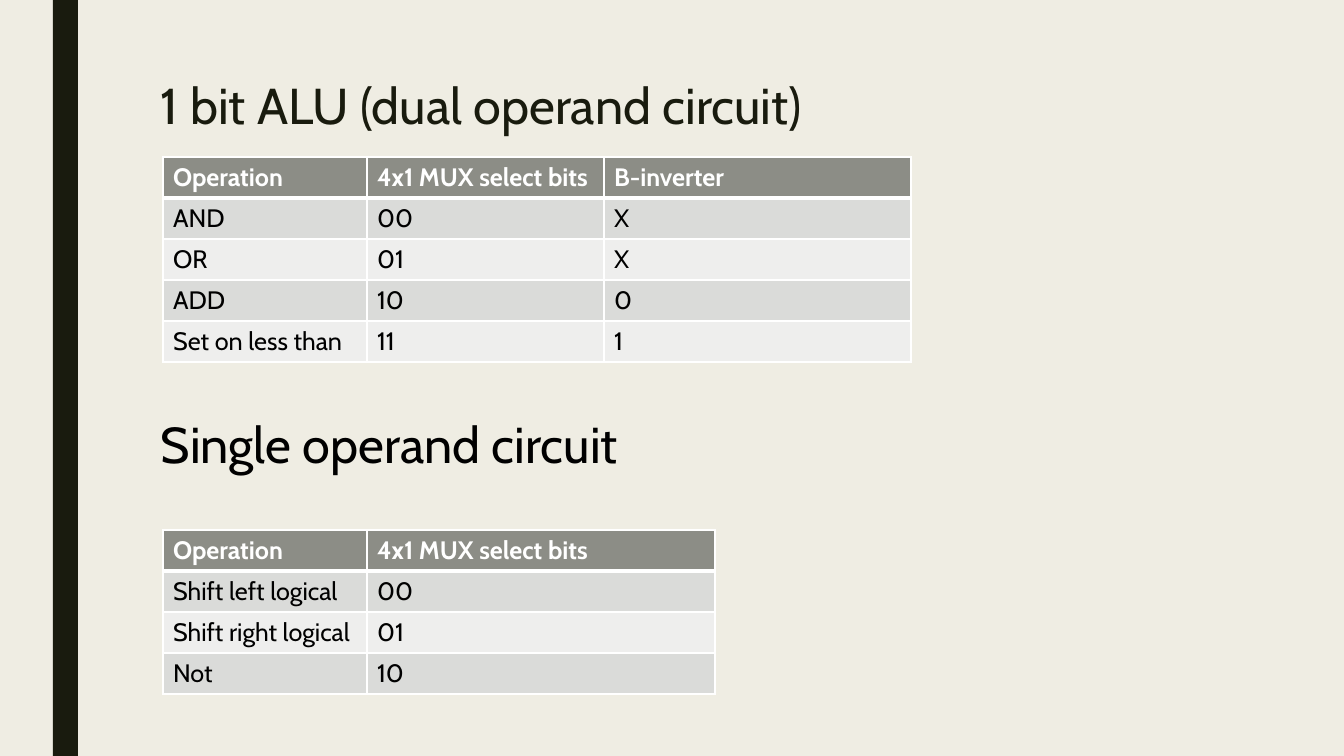
import pptx
import pptx.util
import pptx.dml.color
import pptx.enum.shapes
import pptx.enum.text
import pptx.oxml
import pptx.oxml.ns
from dataclasses import dataclass

WIDE, HIGH = 1344, 756
SCALE = 12192000 / WIDE


@dataclass(frozen=True)
class Theme:
    font: str = "Cabin"
    back: str = "EFEDE3"
    dark: str = "191B0E"
    black: str = "000000"
    white: str = "FFFFFF"
    head: str = "8C8D86"
    bands: tuple = ("DADBD9", "EEEEED")
    title: int = 36
    body: int = 18
    thin: int = 1
    thick: int = 3


THEME = Theme()

DUAL = [
    ("Operation", "4x1 MUX select bits", "B-inverter"),
    ("AND", "00", "X"),
    ("OR", "01", "X"),
    ("ADD", "10", "0"),
    ("Set on less than", "11", "1"),
]
SINGLE = [
    ("Operation", "4x1 MUX select bits"),
    ("Shift left logical", "00"),
    ("Shift right logical", "01"),
    ("Not", "10"),
]


def px(size):
    return pptx.util.Emu(round(size * SCALE))


def place(box):
    return [px(size) for size in box]


def paint(fill, color):
    fill.solid()
    fill.fore_color.rgb = pptx.dml.color.RGBColor.from_string(color)


def style(para, size, color, bold=False):
    font = para.font
    font.name = THEME.font
    font.size = pptx.util.Pt(size)
    font.bold = bold
    font.color.rgb = pptx.dml.color.RGBColor.from_string(color)


def edge(cell, side, width):
    """Append one cell border; call before the cell is filled."""
    space = pptx.oxml.ns.nsdecls("a")
    line = pptx.oxml.parse_xml(
        f'<a:ln{side} {space} w="{pptx.util.Pt(width)}"><a:solidFill>'
        f'<a:srgbClr val="{THEME.white}"/></a:solidFill></a:ln{side}>'
    )
    cell._tc.get_or_add_tcPr().append(line)


def add_bar(slide, box):
    bar = slide.shapes.add_shape(
        pptx.enum.shapes.MSO_SHAPE.RECTANGLE, *place(box))
    bar.shadow.inherit = False
    paint(bar.fill, THEME.dark)
    bar.line.fill.background()


def add_title(slide, box, text, color, wrap=True, space=1.0):
    frame = slide.shapes.add_textbox(*place(box)).text_frame
    frame.word_wrap = wrap
    frame.vertical_anchor = pptx.enum.text.MSO_ANCHOR.TOP
    para = frame.paragraphs[0]
    para.text = text
    para.line_spacing = space
    style(para, THEME.title, color)


def add_grid(slide, left, top, cols, step, rows):
    box = (left, top, sum(cols), step * len(rows))
    grid = slide.shapes.add_table(len(rows), len(cols), *place(box)).table
    for col, width in zip(grid.columns, cols):
        col.width = px(width)
    for r, row in enumerate(rows):
        grid.rows[r].height = px(step)
        first = r == 0
        for c, text in enumerate(row):
            cell = grid.cell(r, c)
            # Borders: a heavy rule parts the header from the body
            for side in "LRTB":
                heavy = (first and side == "B") or (r == 1 and side == "T")
                edge(cell, side, THEME.thick if heavy else THEME.thin)
            paint(cell.fill, THEME.head if first else THEME.bands[(r - 1) % 2])
            para = cell.text_frame.paragraphs[0]
            para.text = text
            style(para, THEME.body, THEME.white if first else THEME.black, first)


def main():
    deck = pptx.Presentation()
    deck.slide_width, deck.slide_height = px(WIDE), px(HIGH)
    slide = deck.slides.add_slide(deck.slide_layouts[6])
    paint(slide.background.fill, THEME.back)

    # Side bar
    add_bar(slide, (53, 0, 25, HIGH))

    # Dual operand circuit
    add_title(slide, (151, 76, 1058, 163), "1 bit ALU (dual operand circuit)",
              THEME.dark, space=0.89)
    add_grid(slide, 163, 157, (204, 237, 307), 41, DUAL)

    # Single operand circuit
    add_title(slide, (151, 408, 486, 71), "Single operand circuit",
              THEME.black, wrap=False)
    add_grid(slide, 163, 530, (204, 348), 41, SINGLE)

    deck.save("out.pptx")


if __name__ == "__main__":
    main()
